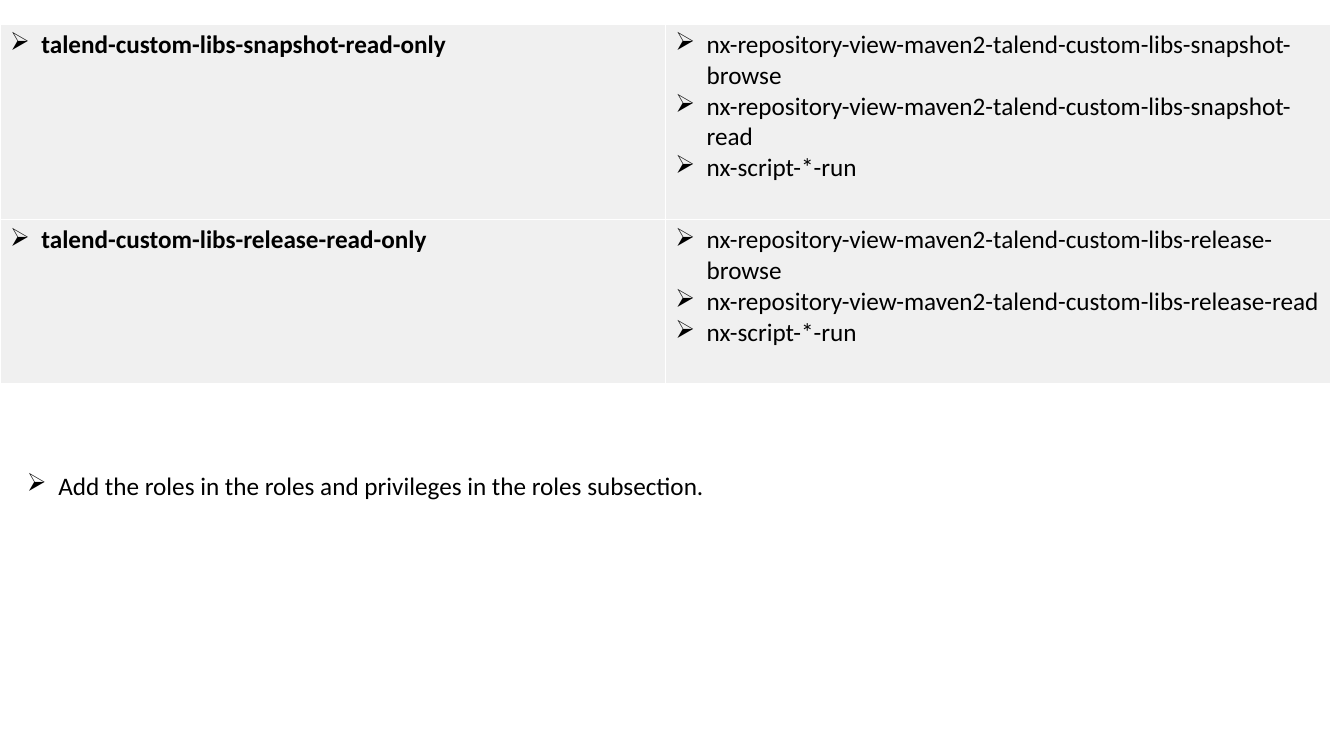
"""Build a slide listing read-only repository roles and their privileges."""
import dataclasses

import lxml.etree
import pptx
import pptx.dml.color
import pptx.enum.text
import pptx.oxml.ns
import pptx.util

Cm = pptx.util.Cm


@dataclasses.dataclass(frozen=True)
class Theme:
    font: str = "Calibri"
    size: int = 18
    text: str = "000000"
    cell: str = "F0F0F0"
    border: str = "FFFFFF"
    border_width: int = 1
    bullet: str = "➢"
    indent: float = 0.79


THEME = Theme()
LIBRARIES = {"snapshot": 4.92, "release": 4.13}


def add_element(parent, tag, **attributes):
    """Append a drawing element with the given attributes."""
    return lxml.etree.SubElement(parent, pptx.oxml.ns.qn(tag), attributes)


def write_bullets(text_frame, lines, bold=False):
    """Fill a text frame with one bulleted paragraph per line."""
    for index, line in enumerate(lines):
        paragraph = text_frame.add_paragraph() if index else text_frame.paragraphs[0]
        paragraph.text = line
        properties = paragraph._p.get_or_add_pPr()
        properties.set("marL", str(Cm(THEME.indent)))
        properties.set("indent", str(-Cm(THEME.indent)))
        add_element(properties, "a:buChar", char=THEME.bullet)
        font = paragraph.font
        font.name = THEME.font
        font.size = pptx.util.Pt(THEME.size)
        font.bold = bold
        font.color.rgb = pptx.dml.color.RGBColor.from_string(THEME.text)


def style_cell(cell):
    """Give a cell its thin borders and plain fill."""
    properties = cell._tc.get_or_add_tcPr()
    for side in ("a:lnL", "a:lnR", "a:lnT", "a:lnB"):
        line = add_element(properties, side, w=str(pptx.util.Pt(THEME.border_width)))
        fill = add_element(line, "a:solidFill")
        add_element(fill, "a:srgbClr", val=THEME.border)
    cell.fill.solid()
    cell.fill.fore_color.rgb = pptx.dml.color.RGBColor.from_string(THEME.cell)


def add_role_table(slide):
    """Add the table of roles and the privileges each one needs."""
    frame = slide.shapes.add_table(
        len(LIBRARIES), 2, Cm(0), Cm(0.62), Cm(33.53), Cm(sum(LIBRARIES.values()))
    )
    table = frame.table
    table.first_row = False
    table.horz_banding = False
    for row, (library, height) in enumerate(LIBRARIES.items()):
        table.rows[row].height = Cm(height)
        name = f"talend-custom-libs-{library}"
        privileges = [f"nx-repository-view-maven2-{name}-{action}" for action in ("browse", "read")]
        role_cell, privilege_cell = table.cell(row, 0), table.cell(row, 1)
        write_bullets(role_cell.text_frame, [f"{name}-read-only"], bold=True)
        write_bullets(privilege_cell.text_frame, privileges + ["nx-script-*-run"])
        style_cell(role_cell)
        style_cell(privilege_cell)


def add_instruction(slide, text):
    """Add the bulleted instruction below the table."""
    text_frame = slide.shapes.add_textbox(Cm(0.43), Cm(11.73), Cm(30.33), Cm(1.03)).text_frame
    text_frame.word_wrap = True
    text_frame.auto_size = pptx.enum.text.MSO_AUTO_SIZE.SHAPE_TO_FIT_TEXT
    write_bullets(text_frame, [text])


def main():
    """Create the slide and save it."""
    presentation = pptx.Presentation()
    presentation.slide_width = Cm(33.87)
    presentation.slide_height = Cm(19.05)
    slide = presentation.slides.add_slide(presentation.slide_layouts[6])
    add_role_table(slide)
    add_instruction(slide, "Add the roles in the roles and privileges in the roles subsection.")
    presentation.save("out.pptx")


if __name__ == "__main__":
    main()
